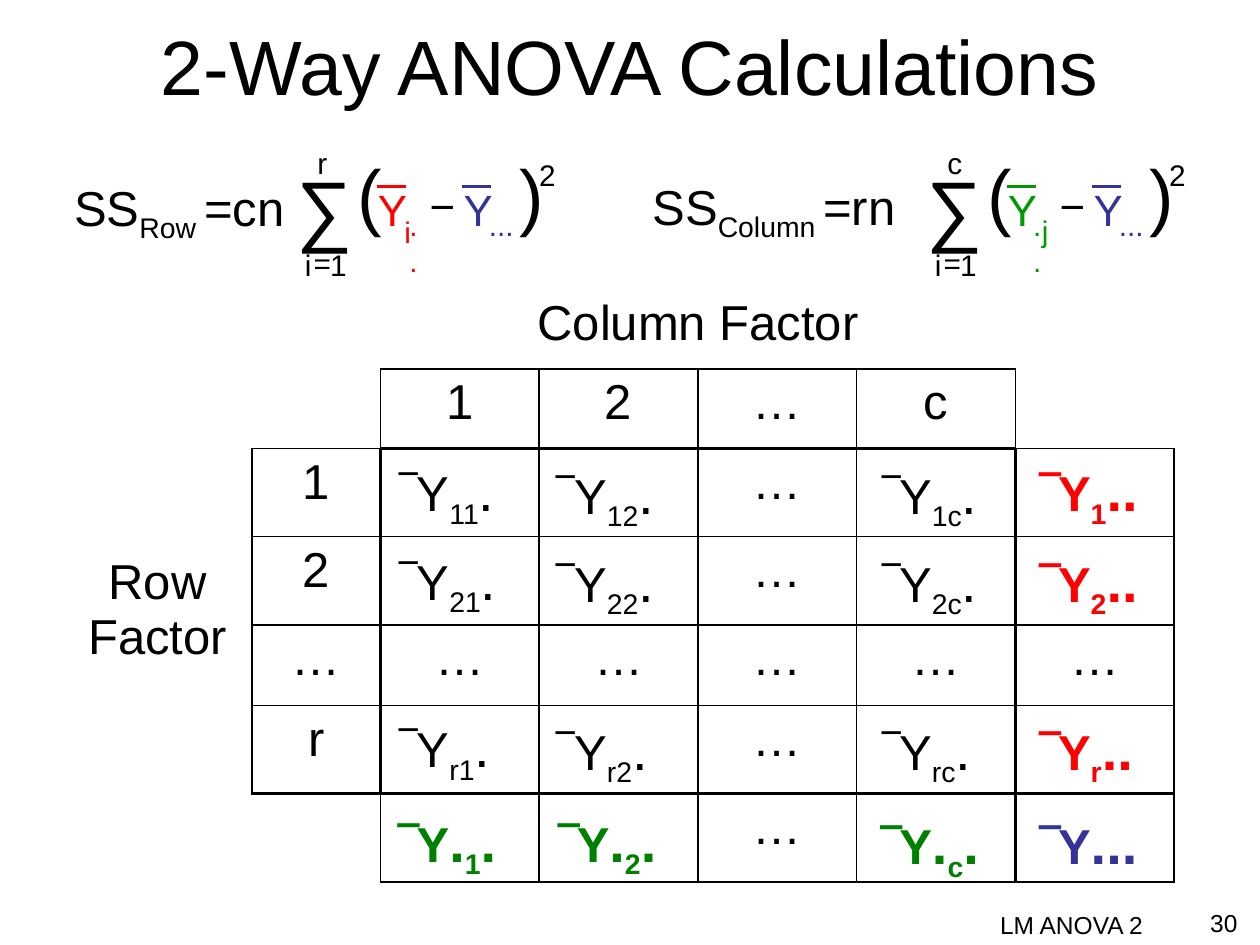
from dataclasses import dataclass
from lxml.etree import SubElement
from pptx import Presentation
from pptx.dml.color import RGBColor
from pptx.enum.shapes import MSO_CONNECTOR
from pptx.enum.text import MSO_ANCHOR, MSO_AUTO_SIZE, PP_ALIGN
from pptx.oxml.ns import qn
from pptx.util import Inches, Pt


@dataclass
class Theme:
    font: str = "Arial"
    black: str = "000000"
    red: str = "FF0000"
    blue: str = "333399"
    green: str = "008000"
    lime: str = "009900"
    title: int = 44
    body: int = 28
    dot: int = 32
    foot: int = 14
    sum: int = 45
    paren: int = 42
    term: int = 25
    small: int = 17
    thin: float = 1
    thick: float = 2.25
    bar: float = 1.25


class Deck:
    def __init__(self, theme):
        self.theme = theme
        self.prs = Presentation()
        self.prs.slide_width, self.prs.slide_height = Inches(10), Inches(7.5)
        self.slide = self.prs.slides.add_slide(self.prs.slide_layouts[6])

    def style(self, run, size, color, bold=False, low=False):
        run.font.name, run.font.size, run.font.bold = self.theme.font, Pt(size), bold
        run.font.color.rgb = RGBColor.from_string(color)
        if low:
            run._r.get_or_add_rPr().set("baseline", "-25000")

    def text(self, box, parts, color=None, bold=False, align=PP_ALIGN.LEFT,
             anchor=MSO_ANCHOR.TOP, wrap=True, grow=False, inset=True):
        """Each part is (text, size) or (text, size, True) for a subscript."""
        frame = self.slide.shapes.add_textbox(*map(Inches, box)).text_frame
        frame.word_wrap, frame.vertical_anchor = wrap, anchor
        frame.auto_size = MSO_AUTO_SIZE.SHAPE_TO_FIT_TEXT if grow else MSO_AUTO_SIZE.NONE
        if not inset:
            frame.margin_left = frame.margin_right = 0
            frame.margin_top = frame.margin_bottom = 0
        line = frame.paragraphs[0]
        line.alignment = align
        for words, size, *low in parts:
            run = line.add_run()
            run.text = words
            self.style(run, size, color or self.theme.black, bold, bool(low))

    def glyph(self, words, size, box, color=None):
        self.text(box, [(words, size)], color, wrap=False, grow=True, inset=False)

    def bar(self, left, top, color):
        line = self.slide.shapes.add_connector(
            MSO_CONNECTOR.STRAIGHT, Inches(left), Inches(top), Inches(left + 0.23), Inches(top))
        line.line.color.rgb = RGBColor.from_string(color)
        line.line.width = Pt(self.theme.bar)
        SubElement(line._element.spPr, qn("a:effectLst"))

    def table(self, left, top, cols, rows):
        shape = self.slide.shapes.add_table(
            len(rows), len(cols), Inches(left), Inches(top), Inches(sum(cols)), Inches(sum(rows)))
        grid = shape.table
        grid.first_row = grid.horz_banding = False
        for col, width in zip(grid.columns, cols):
            col.width = Inches(width)
        for row, height in zip(grid.rows, rows):
            row.height = Inches(height)
        return grid

    def fill(self, cell, words):
        cell.text_frame.text = words
        line = cell.text_frame.paragraphs[0]
        line.alignment = PP_ALIGN.CENTER
        for run in line.runs:
            self.style(run, self.theme.body, self.theme.black)

    def edge(self, cell, side, width):
        line = SubElement(cell._tc.get_or_add_tcPr(), qn("a:" + side), w=str(Pt(width)))
        if width:
            paint = SubElement(line, qn("a:solidFill"))
            SubElement(paint, qn("a:srgbClr"), val=self.theme.black)
        else:
            SubElement(line, qn("a:noFill"))


def add_sum(deck, x, limit, mean, marks):
    """Sum of squared differences between a group mean and the grand mean."""
    t = deck.theme
    deck.glyph("(", t.paren, (x + 0.49, 1.18, 0.19, 0.7))
    deck.glyph(")", t.paren, (x + 1.77, 1.18, 0.19, 0.7))
    deck.glyph("∑", t.sum, (x, 1.26, 0.45, 0.75))
    deck.glyph(limit, t.small, (x + 0.17, 1.15, 0.1, 0.28))
    for words, shift, top in (("i", 0.07, 1.96), ("=", 0.14, 1.94), ("1", 0.27, 1.96),
                              ("2", 1.93, 1.24)):
        deck.glyph(words, t.small, (x + shift, top, 0.13, 0.28))
    deck.glyph("−", t.term, (x + 1.06, 1.42, 0.19, 0.42))
    for shift, color in ((0.65, mean), (1.33, t.blue)):
        deck.glyph("Y", t.term, (x + shift, 1.45, 0.23, 0.42), color)
        deck.bar(x + shift - 0.01, 1.48, color)
    deck.glyph("...", t.small, (x + 1.53, 1.64, 0.2, 0.28), t.blue)
    for words, shift, top in marks:
        deck.glyph(words, t.small, (x + shift, top, 0.13, 0.28), mean)


def add_grid(deck):
    grid = deck.table(0.5, 2.3, [1.5, 1.02] + [1.26] * 5, [0.63, 0.63, 0.7, 0.7, 0.64, 0.7, 0.7])
    heads = ["1", "2", "…", "c"]
    words = {(1, 2 + i): head for i, head in enumerate(heads)}
    words |= {(2 + i, 1): head for i, head in enumerate(["1", "2", "…", "r"])}
    words |= {(r, 4): "…" for r in range(2, 7)} | {(4, c): "…" for c in range(1, 7)}
    words |= {(0, 2): "Column Factor", (2, 0): "Row Factor"}

    # Which cells are ruled, and which rules are heavy
    ruled = {(r, c) for r in range(2, 6) for c in range(1, 7)}
    ruled |= {(r, c) for r in (1, 6) for c in range(2, 6)} | {(6, 6)}
    heavy_x = {(r, 2) for r in range(2, 6)} | {(r, 6) for r in range(2, 7)}
    heavy_y = {(2, c) for c in range(2, 6)} | {(6, c) for c in range(1, 7)}

    t = deck.theme
    sides = (("lnL", 0, -1, heavy_x, 0, 0), ("lnR", 0, 1, heavy_x, 0, 1),
             ("lnT", -1, 0, heavy_y, 0, 0), ("lnB", 1, 0, heavy_y, 1, 0))
    for r in range(7):
        for c in range(7):
            cell = grid.cell(r, c)
            for side, dr, dc, heavy, er, ec in sides:
                shown = (r, c) in ruled or (r + dr, c + dc) in ruled
                width = t.thick if (r + er, c + ec) in heavy else t.thin
                deck.edge(cell, side, width if shown else 0)
            cell.fill.background()
            if (r, c) in words:
                deck.fill(cell, words[r, c])
    grid.cell(0, 2).merge(grid.cell(0, 5))
    side = grid.cell(2, 0)
    side.merge(grid.cell(5, 0))
    side.vertical_anchor, side.margin_bottom = MSO_ANCHOR.MIDDLE, Inches(0.23)


def add_means(deck):
    t = deck.theme
    lefts = {"1": 3.08, "2": 4.33, "c": 6.91, ".": 8.17}
    tops = {"1": 3.59, "2": 4.29, "r": 5.62, ".": 6.37}
    nudge = {"1.": (0, -0.02), ".2": (0.02, -0.02)}
    for row, top in tops.items():
        for col, left in lefts.items():
            name = row + col
            dx, dy = nudge.get(name, (0, -0.02 if col == "1" else 0))
            parts, color = [("‾Y", t.body)], t.black
            if name == "..":
                parts, color = parts + [("...", t.dot)], t.blue
            elif row == ".":
                parts += [(".", t.dot), (col, t.body, True), (".", t.dot)]
                color = t.green
            elif col == ".":
                parts += [(row, t.body, True), ("..", t.dot)]
                color = t.red
            else:
                parts += [(name, t.body, True), (".", t.dot)]
            deck.text((left + dx, top + dy, 1.05, 0.63), parts, color,
                      bold="." in name, wrap=False, grow=True)


def main():
    t = Theme()
    deck = Deck(t)

    # Title and footer
    deck.text((0.5, 0.08, 9, 0.87), [("2-Way ANOVA Calculations", t.title)],
              align=PP_ALIGN.CENTER, anchor=MSO_ANCHOR.MIDDLE)
    deck.text((6, 7.17, 3.17, 0.25), [("LM ANOVA 2", t.foot)], align=PP_ALIGN.RIGHT)
    deck.text((9.25, 7.16, 0.67, 0.34), [("30", t.foot)], align=PP_ALIGN.RIGHT)

    # Sums of squares
    for box, low, tail, wrap in (((0.49, 1.39, 2.11, 0.57), "Row ", "=cn", False),
                                 ((5.08, 1.38, 2.79, 0.57), "Column ", "=rn", True)):
        deck.text(box, [("SS", t.body), (low, t.body, True), (tail, t.body)],
                  anchor=MSO_ANCHOR.MIDDLE, wrap=wrap, grow=True)
    add_sum(deck, 2.35, "r", t.red, [("..", 0.9, 1.64), ("i", 0.86, 1.7)])
    add_sum(deck, 7.35, "c", t.lime, [(". .", 0.85, 1.64), ("j", 0.92, 1.69)])

    # Table of cell means with its margins
    add_grid(deck)
    add_means(deck)
    deck.prs.save("out.pptx")


if __name__ == "__main__":
    main()
